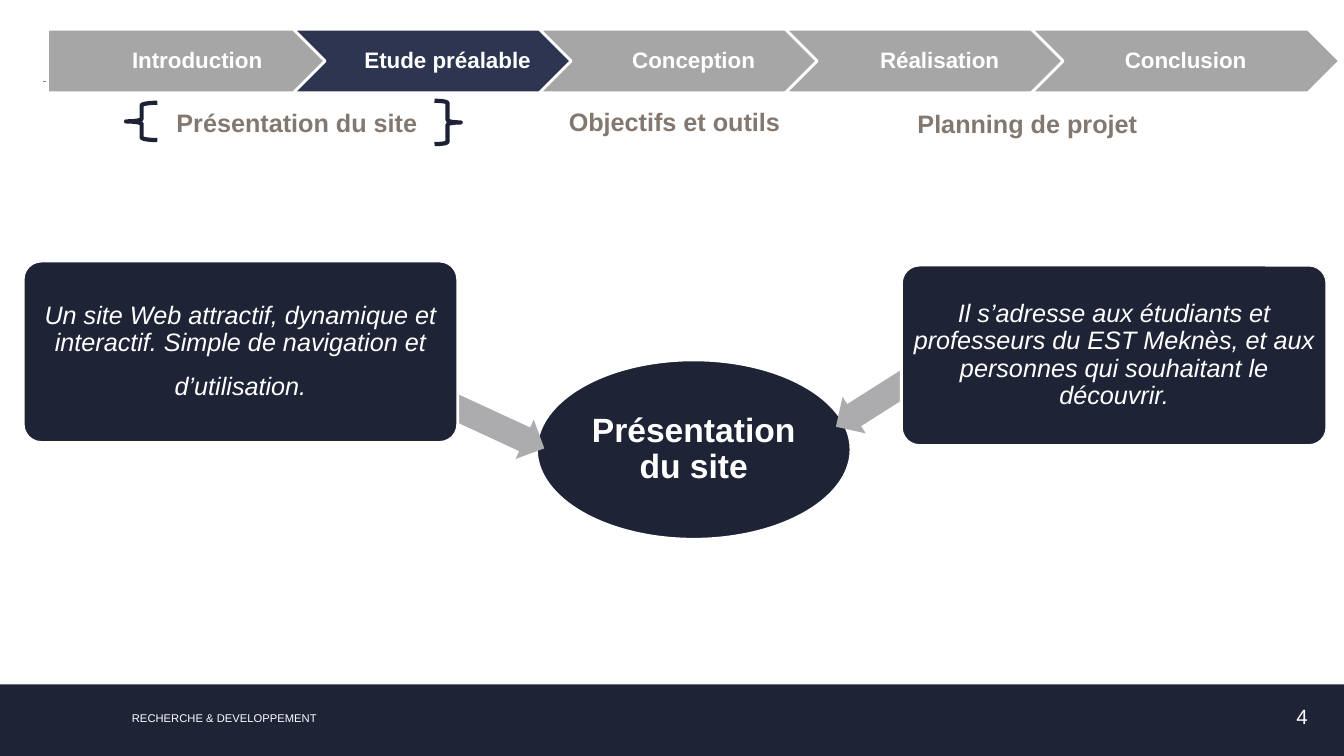
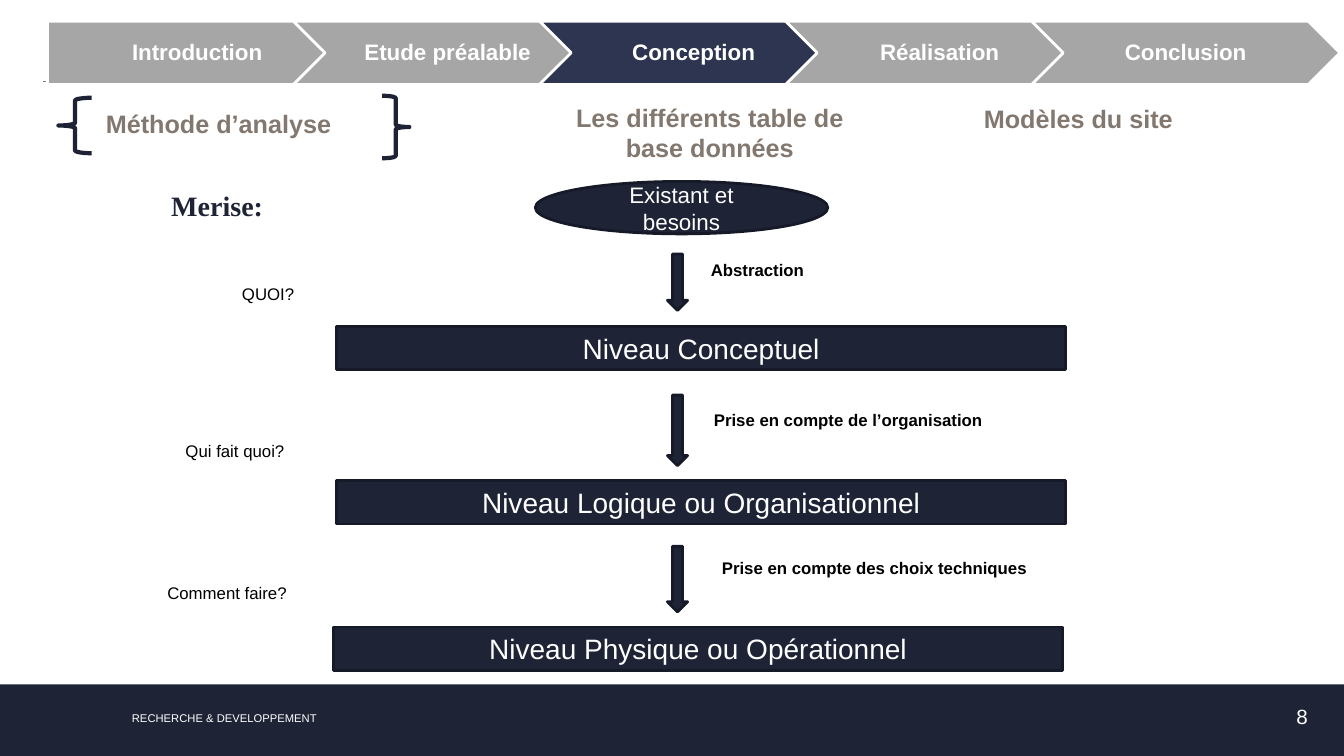
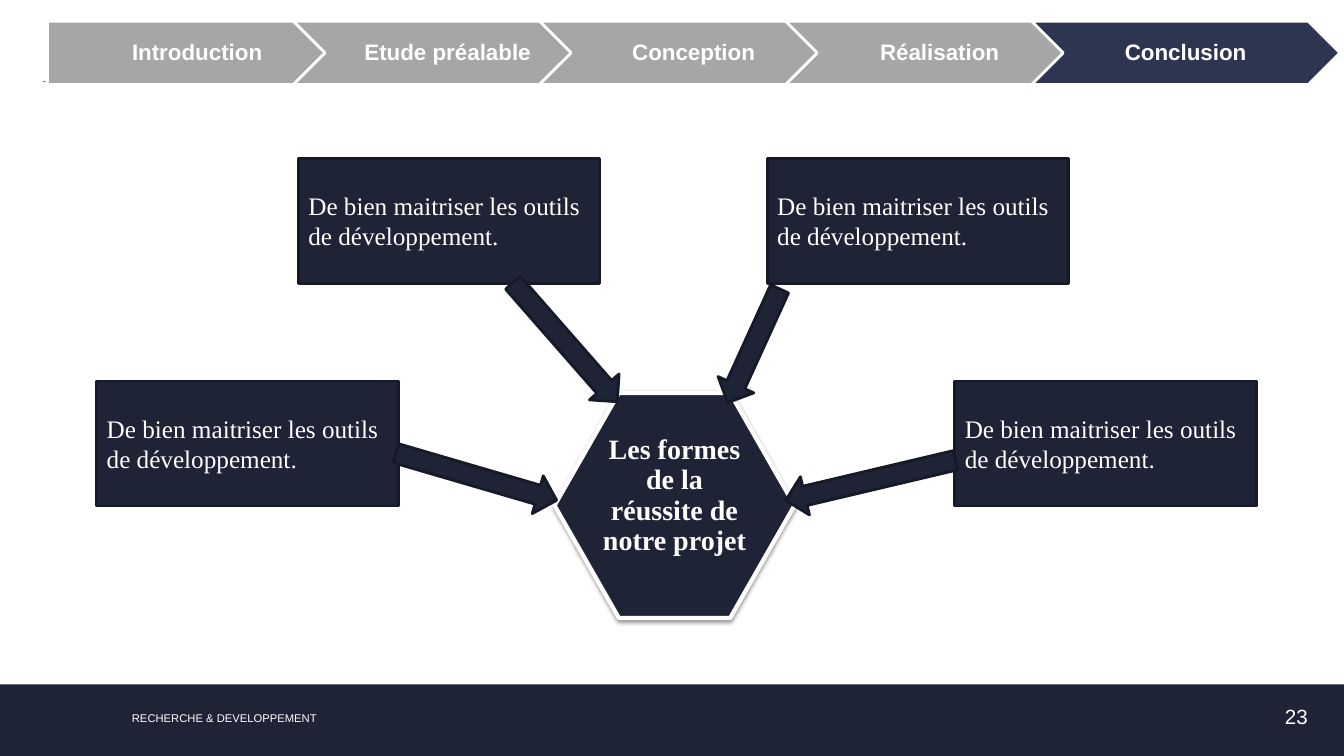
from lxml import etree
from pptx import Presentation
from pptx.dml.color import RGBColor
from pptx.enum.shapes import MSO_CONNECTOR, MSO_SHAPE
from pptx.enum.text import MSO_ANCHOR, MSO_AUTO_SIZE, PP_ALIGN
from pptx.oxml.ns import qn
from pptx.util import Inches, Pt

LEFT, CENTER, RIGHT = PP_ALIGN.LEFT, PP_ALIGN.CENTER, PP_ALIGN.RIGHT
MIDDLE = MSO_ANCHOR.MIDDLE
RECT, ROUNDED, OVAL = MSO_SHAPE.RECTANGLE, MSO_SHAPE.ROUNDED_RECTANGLE, MSO_SHAPE.OVAL
HEXAGON, CHEVRON, PENTAGON = MSO_SHAPE.HEXAGON, MSO_SHAPE.CHEVRON, MSO_SHAPE.PENTAGON
LEFT_ARROW, DOWN_ARROW = MSO_SHAPE.LEFT_ARROW, MSO_SHAPE.DOWN_ARROW
LEFT_BRACE, RIGHT_BRACE = MSO_SHAPE.LEFT_BRACE, MSO_SHAPE.RIGHT_BRACE
STRAIGHT = MSO_CONNECTOR.STRAIGHT
TITLE_ONLY, BLANK = 5, 6

NAVY, EDGE, BRACE, ACTIVE = "1E2336", "161A28", "1D2235", "2D3551"
IDLE, ARROW, TAUPE = "A6A6A6", "ACACAE", "83786F"
WHITE, BLACK = "FFFFFF", "000000"
SANS, SERIF = "Arial", "Times New Roman"

FOOTER = "RECHERCHE & DEVELOPPEMENT"
STEPS = ["Introduction", "Etude préalable", "Conception", "Réalisation", "Conclusion"]

# Slide "Etude préalable"
STUDY_TITLE = ("Présentation du site", (1.65, 1.04, 3.04, 0.35))
STUDY_HEADINGS = [
    ("Objectifs et outils", (5.17, 1.03, 3.04, 0.35), CENTER),
    ("Planning de projet", (8.67, 1.05, 3.04, 0.35), CENTER),
]
STUDY_BRACES = [(1.25, 1.02, 0.31, 0.37), (4.31, 1, 0.26, 0.43)]
STUDY_TOPIC = "Présentation du site"
STUDY_CARDS = [
    (["Un site Web attractif, dynamique et interactif. Simple de navigation et",
      "d’utilisation."],
     (0.23, 2.59, 4.31, 1.8), (4.34, 4, 1.11, 0.43), 204.8),
    (["Il s’adresse aux étudiants et professeurs du EST Meknès, "
      "et aux personnes qui souhaitant le découvrir."],
     (8.94, 2.63, 4.22, 1.79), (8.21, 3.74, 1.04, 0.43), 327.6),
]

# Slide "Conception"
DESIGN_TITLE = ("Méthode d’analyse", (0.95, 1.05, 3.04, 0.35))
DESIGN_HEADINGS = [
    ("Les différents table de base données", (5.52, 1.1, 3.04, 0.42), CENTER),
    ("Modèles du site", (9.66, 1, 3.04, 0.35), LEFT),
]
DESIGN_BRACES = [(0.58, 0.97, 0.33, 0.55), (3.79, 0.95, 0.27, 0.62)]
METHOD = "Merise:"
METHOD_START = "Existant et besoins"
LEVELS = [  # name, left, top
    ("Niveau Conceptuel", 3.34, 3.24),
    ("Niveau Logique ou Organisationnel", 3.34, 4.77),
    ("Niveau Physique ou Opérationnel", 3.31, 6.22),
]
LEVEL_ARROWS = [(2.52, 0.56), (3.92, 0.7), (5.42, 0.65)]  # top, height
TRANSITIONS = [  # text, left, top, width
    ("Abstraction", 6.92, 2.54, 1.47),
    ("Prise en compte de l’organisation", 6.95, 4.02, 3.29),
    ("Prise en compte des choix techniques", 7.03, 5.49, 3.79),
]
QUESTIONS = [
    ("QUOI?", 2.27, 2.77, 0.92),
    ("Qui fait quoi?", 1.71, 4.33, 1.42),
    ("Comment faire?", 1.53, 5.74, 1.6),
]

# Slide "Conclusion"
SUCCESS = "Les formes de la réussite de notre projet"
FACTORS = [  # text, left, top
    ("De bien maitriser les outils de développement.", left, top)
    for left, top in [(7.61, 1.57), (2.96, 1.57), (9.47, 3.78), (0.96, 3.78)]
]
FACTOR_ARROWS = [  # left, top, height, rotation
    (7.28, 2.81, 1.24, 24.5), (8.44, 3.9, 1.73, 76.7),
    (5.41, 2.61, 1.57, 318.8), (4.53, 3.9, 1.66, 286.3),
]


def rgb(color):
    return RGBColor.from_string(color)


def inches(lengths):
    return [Inches(length) for length in lengths]


def write(shape, text, size, color=WHITE, font=SANS, bold=False, italic=False,
          align=CENTER, margins=(0.1, 0.05, 0.1, 0.05), line_spacing=1, gap=0):
    """Fill a shape with one paragraph, or with a list of them set gap points apart."""
    frame = shape.text_frame
    frame.word_wrap = True
    frame.auto_size = MSO_AUTO_SIZE.NONE
    frame.vertical_anchor = MIDDLE
    (frame.margin_left, frame.margin_top,
     frame.margin_right, frame.margin_bottom) = inches(margins)
    lines = [text] if isinstance(text, str) else text
    for number, line in enumerate(lines):
        para = frame.add_paragraph() if number else frame.paragraphs[0]
        para.text = line
        para.alignment = align
        para.line_spacing = line_spacing
        para.space_before = Pt(gap if number else 0)
        para.font.name, para.font.size = font, Pt(size)
        para.font.bold, para.font.italic = bold, italic
        para.font.color.rgb = rgb(color)


def add_text(slide, place, text, size, **style):
    box = slide.shapes.add_textbox(*inches(place))
    write(box, text, size, **style)
    return box


def add_box(slide, kind, place, fill=NAVY, line=None, width=2, rotation=0):
    box = slide.shapes.add_shape(kind, *inches(place))
    box.shadow.inherit = False
    box.rotation = rotation
    if fill:
        box.fill.solid()
        box.fill.fore_color.rgb = rgb(fill)
    else:
        box.fill.background()
    if line:
        box.line.color.rgb = rgb(line)
        box.line.width = Pt(width)
    else:
        box.line.fill.background()
    return box


def furnish_master(deck, slide):
    """Draw the band, footer and rule, then move them to the slide master."""
    band = add_box(slide, RECT, (0, 6.79, 13.33, 0.71))
    footer = add_text(slide, (1.21, 7, 3.15, 0.24), FOOTER, 8, align=LEFT)
    rule = slide.shapes.add_connector(STRAIGHT, *inches((0.43, 0.81, 12.97, 0.81)))
    rule.line.color.rgb = rgb(TAUPE)
    rule.line.width = Pt(0.75)
    etree.SubElement(rule.element.spPr, qn("a:effectLst"))
    for number, part in enumerate((band, footer, rule), start=101):
        part.element.xpath(".//p:cNvPr")[0].set("id", str(number))
        deck.slide_master.shapes.element.append(part.element)


def add_steps(slide, active, top):
    for number, step in enumerate(STEPS):
        kind, inset = (CHEVRON, 0.02) if number else (PENTAGON, 0.09)
        box = add_box(slide, kind, (0.47 + 2.44 * number, top, 3.06, 0.63),
                      ACTIVE if step == active else IDLE, WHITE)
        write(box, step, 16, bold=True, margins=(inset, 0.05, 0.02, 0.05),
              line_spacing=0.9)


def add_number(slide, number):
    add_text(slide, (12.34, 6.9, 0.73, 0.42), str(number), 14.7, align=RIGHT)


def add_headings(slide, title, headings, braces):
    """Set the title between braces, followed by the other headings."""
    text, place = title
    holder = slide.shapes.title
    holder.left, holder.top, holder.width, holder.height = inches(place)
    write(holder, text, 18, TAUPE, bold=True, align=LEFT)
    for text, place, align in headings:
        add_text(slide, place, text, 18, color=TAUPE, bold=True, align=align)
    for kind, place in zip((LEFT_BRACE, RIGHT_BRACE), braces):
        add_box(slide, kind, place, None, BRACE, 3)


def build_study(slide):
    add_steps(slide, "Etude préalable", 0.29)
    add_headings(slide, STUDY_TITLE, STUDY_HEADINGS, STUDY_BRACES)
    topic = add_box(slide, OVAL, (5.32, 3.57, 3.12, 1.78), line=WHITE)
    write(topic, STUDY_TOPIC, 24, bold=True, margins=[0.02] * 4, line_spacing=0.9)
    for text, place, arrow_place, rotation in STUDY_CARDS:
        arrow = add_box(slide, LEFT_ARROW, arrow_place, ARROW, rotation=rotation)
        arrow.adjustments[0] = 0.6
        card = add_box(slide, ROUNDED, place, line=WHITE)
        card.adjustments[0] = 0.1
        write(card, text, 18, italic=True, margins=[0.04] * 4,
              line_spacing=0.9, gap=12)
    add_number(slide, 4)


def build_design(slide):
    add_steps(slide, "Conception", 0.21)
    add_headings(slide, DESIGN_TITLE, DESIGN_HEADINGS, DESIGN_BRACES)
    add_text(slide, (1.6, 1.8, 2.25, 0.48), METHOD, 20, color=NAVY, font=SERIF,
             bold=True, align=LEFT)
    start = add_box(slide, OVAL, (5.31, 1.8, 2.9, 0.52), line=EDGE)
    write(start, METHOD_START, 16, margins=(0.15, 0.05, 0.15, 0.05))
    for name, left, top in LEVELS:
        write(add_box(slide, RECT, (left, top, 7.23, 0.43), line=EDGE), name, 20)
    for top, height in LEVEL_ARROWS:
        add_box(slide, DOWN_ARROW, (6.62, top, 0.2, height), line=EDGE)
    for labels, bold in ((TRANSITIONS, True), (QUESTIONS, False)):
        for text, left, top, width in labels:
            add_text(slide, (left, top, width, 0.28), text, 12, color=BLACK,
                     bold=bold, align=LEFT, margins=(0.13, 0.07, 0.13, 0.07))
    add_number(slide, 8)


def add_soft_shadow(shape):
    effects = shape.element.spPr.find(qn("a:effectLst"))
    shadow = etree.SubElement(effects, qn("a:outerShdw"), blurRad=str(Pt(3.1)),
                              dist=str(Pt(1.6)), dir="5400000", rotWithShape="0")
    color = etree.SubElement(shadow, qn("a:srgbClr"), val=BLACK)
    etree.SubElement(color, qn("a:alpha"), val="38000")


def build_conclusion(slide):
    add_steps(slide, "Conclusion", 0.21)
    core = add_box(slide, HEXAGON, (5.5, 3.9, 2.38, 2.23), line=WHITE, width=3)
    core.adjustments[0], core.adjustments[1] = 0.286, 1.155
    add_soft_shadow(core)
    write(core, SUCCESS, 20, font=SERIF, bold=True,
          margins=(0.03, 0.03, 0.03, 0.22), line_spacing=0.9)
    for text, left, top in FACTORS:
        factor = add_box(slide, RECT, (left, top, 2.99, 1.24), line=EDGE)
        write(factor, text, 18, font=SERIF, align=LEFT)
    for left, top, height, rotation in FACTOR_ARROWS:
        add_box(slide, DOWN_ARROW, (left, top, 0.39, height), line=EDGE,
                rotation=rotation)
    add_number(slide, 23)


def main():
    deck = Presentation()
    deck.slide_width, deck.slide_height = inches((13.33, 7.5))
    study, design, conclusion = [
        deck.slides.add_slide(deck.slide_layouts[layout])
        for layout in (TITLE_ONLY, TITLE_ONLY, BLANK)
    ]
    furnish_master(deck, study)
    build_study(study)
    build_design(design)
    build_conclusion(conclusion)
    deck.save("out.pptx")


if __name__ == "__main__":
    main()
